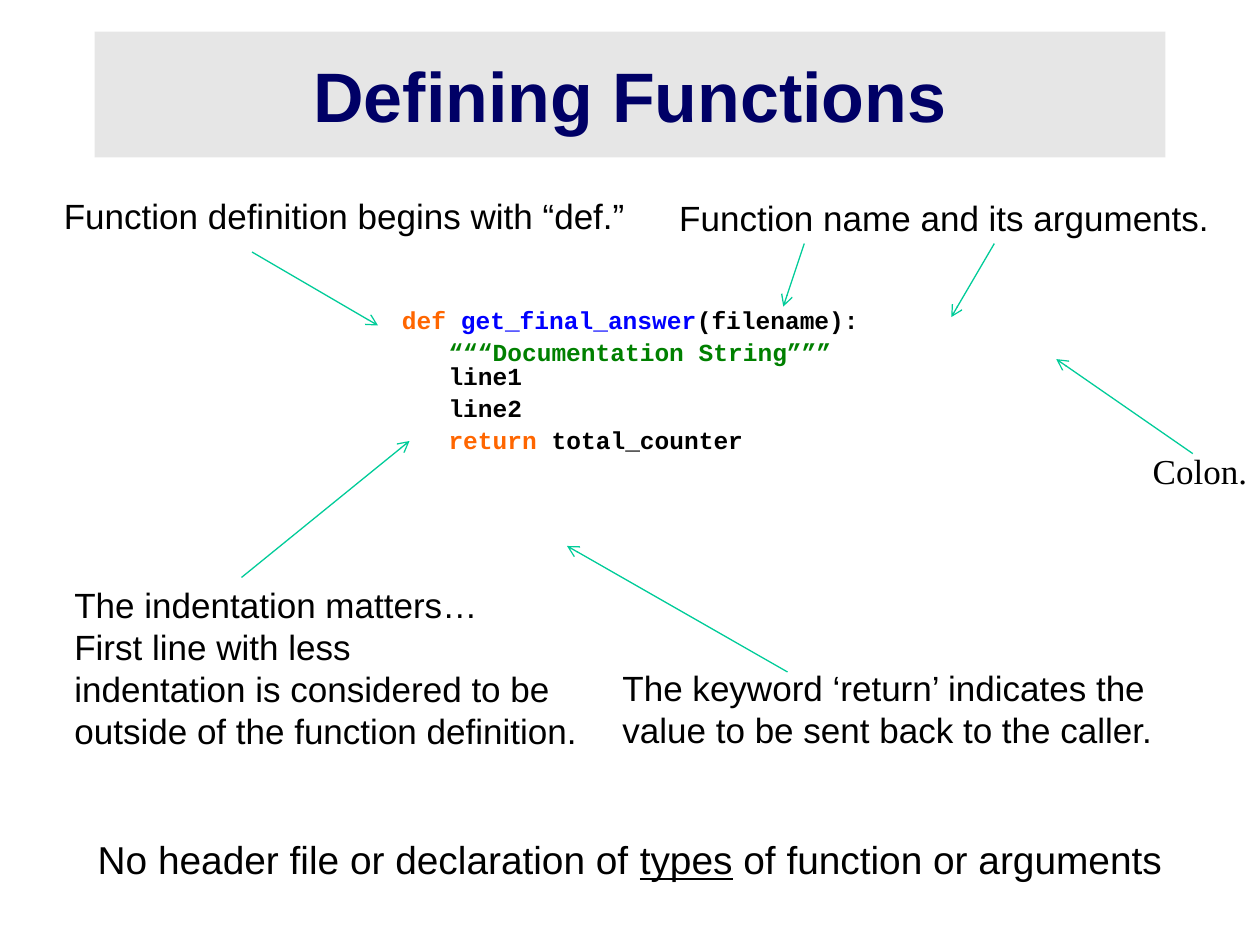
from lxml.etree import SubElement
from pptx import Presentation
from pptx.dml.color import RGBColor
from pptx.enum.shapes import MSO_CONNECTOR as Connector
from pptx.enum.text import MSO_ANCHOR as Anchor, MSO_AUTO_SIZE as AutoSize, PP_ALIGN as Align
from pptx.oxml.ns import qn
from pptx.util import Inches, Pt

COLUMNS, ROWS = 120, 90
WIDTH, HEIGHT = Inches(10), Inches(7.5)
BLACK, NAVY, GREY, TEAL = "000000", "000066", "E6E6E6", "00CC99"
ORANGE, BLUE, GREEN = "FF6600", "0000FF", "008000"


def color(value):
    return RGBColor.from_string(value)


def across(columns):
    return round(WIDTH * columns / COLUMNS)


def down(rows):
    return round(HEIGHT * rows / ROWS)


def grid(left, top, width, height):
    return across(left), down(top), across(width), down(height)


def write(frame, paragraphs, font="Arial", size=20, ink=BLACK, bold=False,
          align=Align.LEFT, indents=(0,), spacing=None, before=0,
          wrap=True, fit=AutoSize.NONE, anchor=Anchor.TOP):
    frame.word_wrap, frame.auto_size, frame.vertical_anchor = wrap, fit, anchor
    for index, runs in enumerate(paragraphs):
        paragraph = frame.add_paragraph() if index else frame.paragraphs[0]
        paragraph.alignment = align
        paragraph.space_before = Pt(before)
        if spacing:
            paragraph.line_spacing = spacing
        indent = indents[min(index, len(indents) - 1)]
        properties = paragraph._p.get_or_add_pPr()
        properties.set("marL", str(Inches(indent)))
        properties.set("indent", "0")
        for words, style in runs:
            for line_number, line in enumerate(words.split("\n")):
                if line_number:
                    paragraph.add_line_break()
                run = paragraph.add_run()
                run.text = line
                run.font.name, run.font.size = font, Pt(size)
                run.font.bold = bold
                run.font.underline = style.get("underline", False)
                run.font.color.rgb = color(style.get("ink", ink))


def plain(*paragraphs):
    return [[(words, {})] for words in paragraphs]


def add_title(slide, words):
    title = slide.shapes.title
    title.left, title.top, title.width, title.height = grid(9, 3, 102, 12)
    title.fill.solid()
    title.fill.fore_color.rgb = color(GREY)
    write(title.text_frame, plain(words), size=40, ink=NAVY, bold=True,
          align=Align.CENTER, anchor=Anchor.MIDDLE)


def add_text(shapes, area, paragraphs, **style):
    write(shapes.add_textbox(*grid(*area)).text_frame, paragraphs, **style)


def add_arrow(shapes, start, end):
    arrow = shapes.add_connector(Connector.STRAIGHT, across(start[0]), down(start[1]),
                                 across(end[0]), down(end[1]))
    arrow.line.color.rgb = color(TEAL)
    arrow.line.width = Pt(0.75)
    SubElement(arrow.line._get_or_add_ln(), qn("a:tailEnd"), type="arrow")
    SubElement(arrow._element.spPr, qn("a:effectLst"))


def add_callout(slide, area, paragraphs, arrows, **style):
    shapes = slide.shapes.add_group_shape().shapes
    add_text(shapes, area, plain(*paragraphs), wrap=False,
             fit=AutoSize.SHAPE_TO_FIT_TEXT, **style)
    for start, end in arrows:
        add_arrow(shapes, start, end)


def main():
    deck = Presentation()
    deck.slide_width, deck.slide_height = WIDTH, HEIGHT
    slide = deck.slides.add_slide(deck.slide_layouts[5])

    add_callout(slide, (5.9, 55, 50.3, 17.3),
                ["The indentation matters…",
                 "First line with less\nindentation is considered to be\n"
                 "outside of the function definition."],
                [((23, 55), (39, 42))])
    add_title(slide, "Defining Functions")
    add_text(slide.shapes, (4, 79, 112, 10),
             [[("No header file or declaration of ", {}),
               ("types", {"underline": True}),
               (" of function or arguments", {})]],
             size=22.2, align=Align.CENTER)
    add_text(slide.shapes, (25.1, 29, 85, 18),
             [[("def ", {"ink": ORANGE}), ("get_final_answer", {"ink": BLUE}),
               ("(filename):", {})],
              [("“““Documentation String”””", {"ink": GREEN}), ("\nline1", {})],
              [("line2", {})],
              [("return", {"ink": ORANGE}), (" total_counter", {})]],
             font="Courier New", size=14, bold=True, indents=(1, 1.37),
             spacing=0.8, before=5)
    add_callout(slide, (4.9, 17.9, 55.9, 5.2),
                ["Function definition begins with “def.”"],
                [((24, 24), (36, 31))])
    add_callout(slide, (63.5, 18.1, 52.9, 5.2),
                ["Function name and its arguments."],
                [((76.6, 23.2), (74.6, 29.2)), ((94.7, 23.2), (90.6, 30.2))])
    add_callout(slide, (58.1, 62.9, 53.3, 9.2),
                ["The keyword ‘return’ indicates the\nvalue to be sent back to the caller."],
                [((75, 64), (54, 52))])
    add_callout(slide, (96.6, 42.2, 23.4, 5.2), ["Colon."],
                [((113.6, 43.2), (100.6, 34.2))],
                font="Times New Roman", indents=(1,))

    deck.save("out.pptx")


if __name__ == "__main__":
    main()
